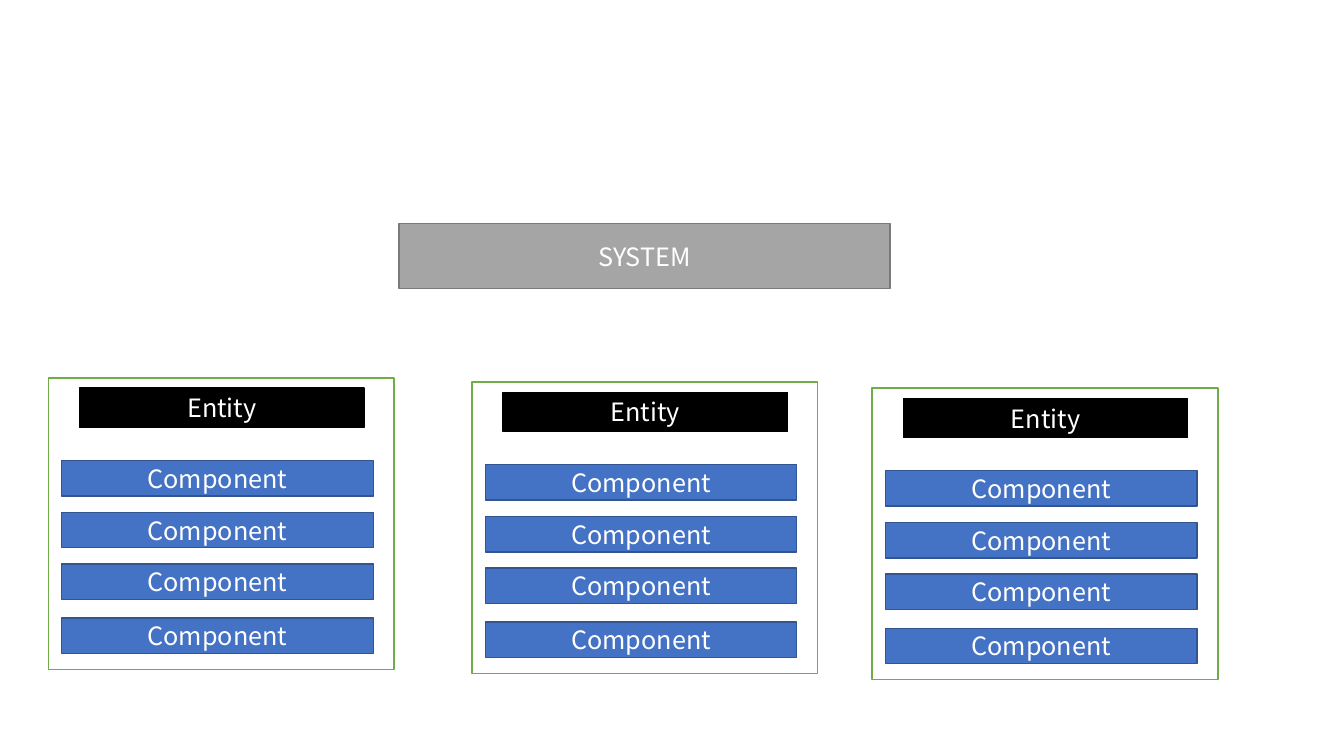
"""Build a slide showing a system above three entities made of components."""
from dataclasses import dataclass

from pptx import Presentation
from pptx.dml.color import RGBColor
from pptx.enum.shapes import MSO_SHAPE
from pptx.enum.text import MSO_ANCHOR, PP_ALIGN
from pptx.slide import Slide
from pptx.util import Inches, Pt

RECTANGLE = MSO_SHAPE.RECTANGLE
MIDDLE = MSO_ANCHOR.MIDDLE
CENTER = PP_ALIGN.CENTER

SLIDE_WIDTH = Inches(13.33)
SLIDE_HEIGHT = Inches(7.5)
FONT = "Noto Sans CJK SC"


@dataclass(frozen=True)
class Style:
    """Size of a box in percent of the slide, with its colours and label."""
    width: float
    height: float
    fill: str
    line: str
    label: str = ""


SYSTEM = Style(36.53, 8.53, "A5A5A5", "7A7A7A", "SYSTEM")
CARD = Style(25.73, 38.53, "FFFFFF", "70AD47")
ENTITY = Style(21.16, 5.2, "000000", "000000", "Entity")
COMPONENT = Style(23.18, 4.67, "4472C4", "325491", "Component")

# Percent of the slide: card corners, then offsets inside a card.
SYSTEM_CORNER = (29.7, 29.6)
CARD_CORNERS = [(3.6, 50), (35.11, 50.55), (64.89, 51.35)]
ENTITY_OFFSET = (2.33, 1.33)
COMPONENT_LEFT = 1
COMPONENT_TOPS = [10.93, 17.78, 24.6, 31.75]


def color(value: str) -> RGBColor:
    """Turn a hex string into a colour."""
    return RGBColor.from_string(value)


def across(percent: float) -> int:
    """Return a share of the slide's width."""
    return round(SLIDE_WIDTH * percent / 100)


def down(percent: float) -> int:
    """Return a share of the slide's height."""
    return round(SLIDE_HEIGHT * percent / 100)


def draw_box(slide: Slide, style: Style, left: float, top: float) -> None:
    """Draw one rectangle with its centred label."""
    shape = slide.shapes.add_shape(
        RECTANGLE, across(left), down(top), across(style.width), down(style.height)
    )
    shape.shadow.inherit = False
    shape.fill.solid()
    shape.fill.fore_color.rgb = color(style.fill)
    shape.line.color.rgb = color(style.line)
    shape.line.width = Pt(1)
    if not style.label:
        return
    text_frame = shape.text_frame
    text_frame.text = style.label
    text_frame.vertical_anchor = MIDDLE
    paragraph = text_frame.paragraphs[0]
    paragraph.alignment = CENTER
    font = paragraph.runs[0].font
    font.name = FONT
    font.size = Pt(18)
    font.color.rgb = color("FFFFFF")


def draw_entity_card(slide: Slide, left: float, top: float) -> None:
    """Draw a card holding an entity and its components."""
    draw_box(slide, CARD, left, top)
    draw_box(slide, ENTITY, left + ENTITY_OFFSET[0], top + ENTITY_OFFSET[1])
    for component_top in COMPONENT_TOPS:
        draw_box(slide, COMPONENT, left + COMPONENT_LEFT, top + component_top)


def main() -> None:
    """Build the slide and save it."""
    presentation = Presentation()
    presentation.slide_width = SLIDE_WIDTH
    presentation.slide_height = SLIDE_HEIGHT
    slide = presentation.slides.add_slide(presentation.slide_layouts[6])
    draw_box(slide, SYSTEM, *SYSTEM_CORNER)
    for left, top in CARD_CORNERS:
        draw_entity_card(slide, left, top)
    presentation.save("out.pptx")


main()
